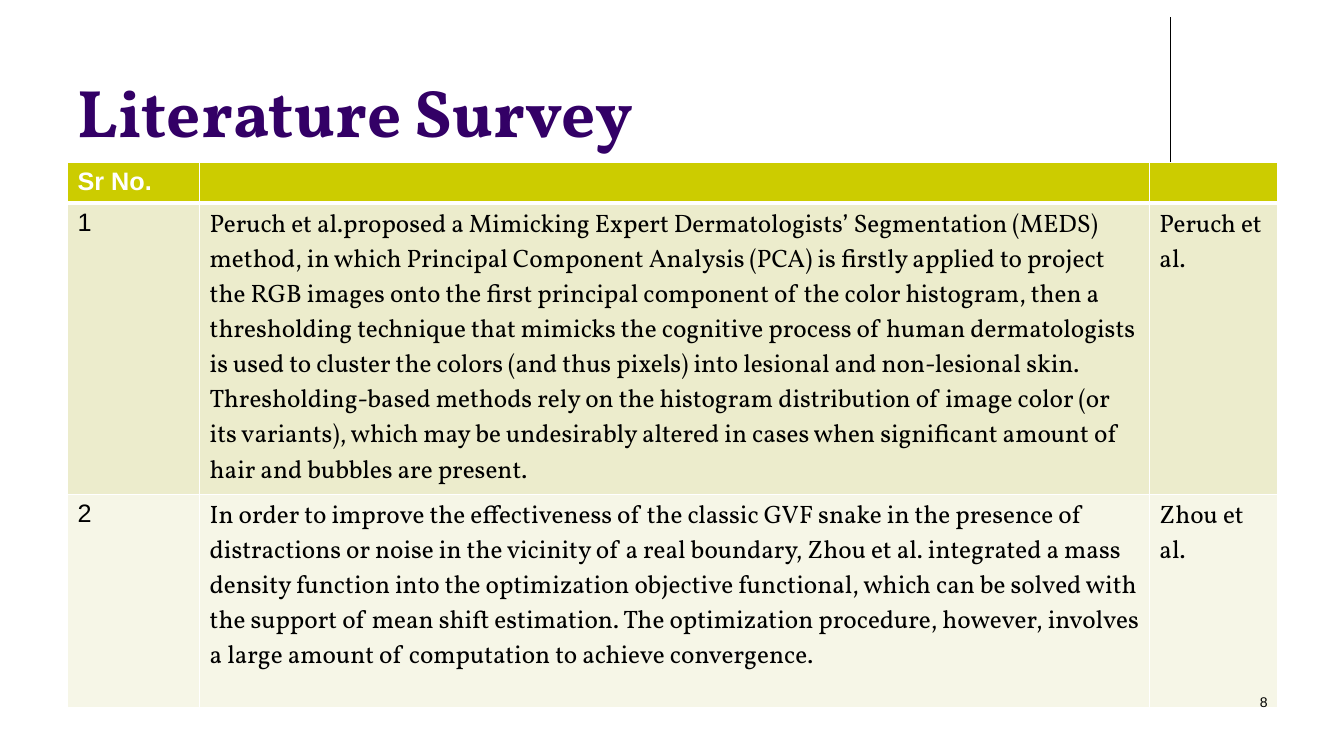
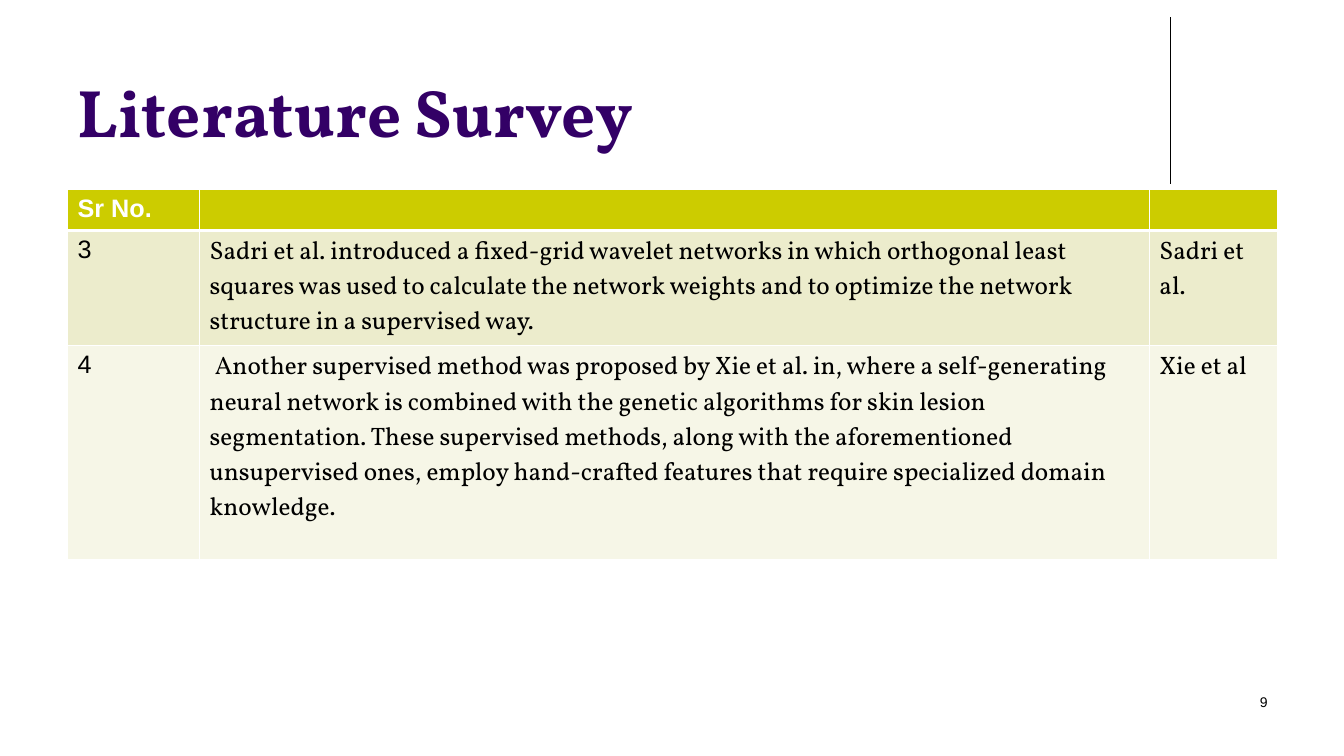
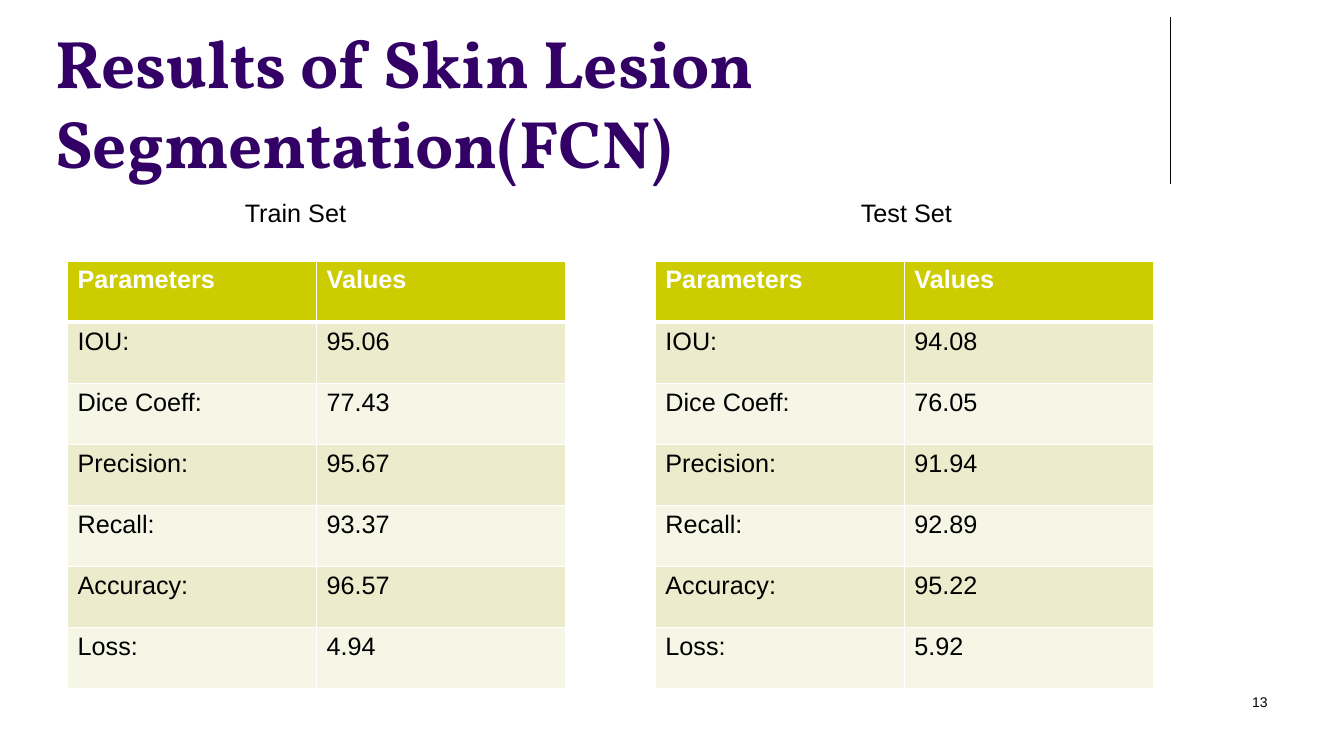
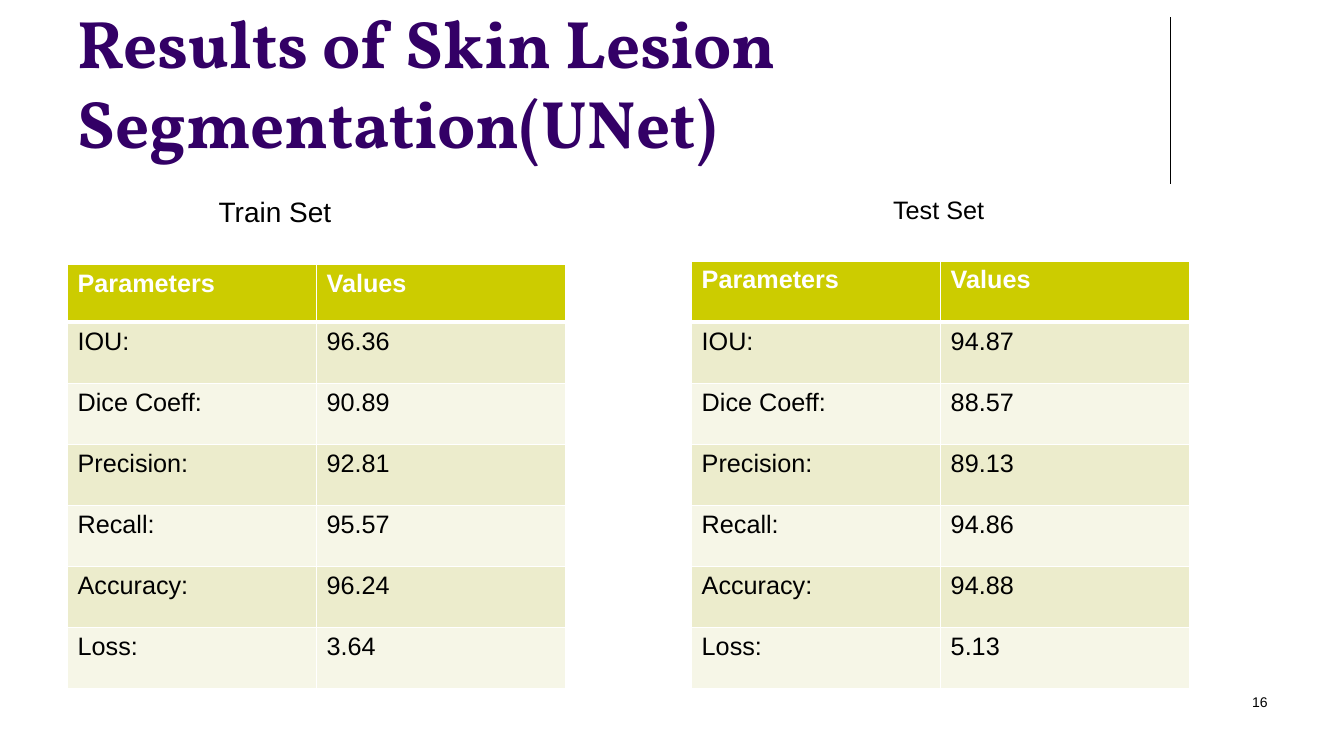
from dataclasses import dataclass
from typing import Any, Sequence

from lxml import etree
from pptx import Presentation
from pptx.dml.color import RGBColor
from pptx.enum import shapes, text
from pptx.oxml import ns
from pptx.util import Inches, Pt

COLORS = {
    "title": "330066",
    "text": "000000",
    "white": "FFFFFF",
    "header": "CCCC00",
    "band_dark": "ECECCC",
    "band_light": "F6F6E7",
}
SANS, SERIF = "Arial", "Vollkorn"
MARGIN = 0.67
SURVEY_COLS = (1.31, 9.42, 1.27)
SURVEY_FONTS = (SANS, SERIF, SERIF)
RESULT_COLS = (2.47, 2.47)
RESULT_FONTS = (SANS, SANS)
RESULT_BOTTOM = 6.83
RESULT_ROW = 4.24 / 7
METRICS = ("IOU:", "Dice Coeff:", "Precision:", "Recall:", "Accuracy:", "Loss:")


@dataclass
class Box:
    left: float
    top: float
    width: float
    height: float

    def emu(self) -> tuple[int, ...]:
        return tuple(Inches(v) for v in (self.left, self.top, self.width, self.height))


@dataclass
class Survey:
    number: int
    top: float
    heights: Sequence[float]
    rows: Sequence[Sequence[str]]


@dataclass
class ResultSet:
    label: str
    label_left: float
    label_top: float
    left: float
    values: Sequence[str]
    top: float = 2.59
    label_size: int = 18


@dataclass
class Results:
    number: int
    title: str
    title_box: Box
    sets: Sequence[ResultSet]


SURVEYS = (
    Survey(8, 1.61, (0.38, 2.88, 2.12), (
        ("1",
         "Peruch et al.proposed a Mimicking Expert Dermatologists’ Segmentation (MEDS) method, "
         "in which Principal Component Analysis (PCA) is firstly applied to project the RGB "
         "images onto the first principal component of the color histogram, then a thresholding "
         "technique that mimicks the cognitive process of human dermatologists is used to "
         "cluster the colors (and thus pixels) into lesional and non-lesional skin. "
         "Thresholding-based methods rely on the histogram distribution of image color (or its "
         "variants), which may be undesirably altered in cases when significant amount of hair "
         "and bubbles are present.",
         "Peruch et al."),
        ("2",
         "In order to improve the effectiveness of the classic GVF snake in the presence of "
         "distractions or noise in the vicinity of a real boundary, Zhou et al. integrated a "
         "mass density function into the optimization objective functional, which can be solved "
         "with the support of mean shift estimation. The optimization procedure, however, "
         "involves a large amount of computation to achieve convergence.",
         "Zhou et al."),
    )),
    Survey(9, 1.88, (0.38, 1.14, 2.12), (
        ("3",
         "Sadri et al. introduced a fixed-grid wavelet networks in which orthogonal least "
         "squares was used to calculate the network weights and to optimize the network "
         "structure in a supervised way.",
         "Sadri et al."),
        ("4",
         " Another supervised method was proposed by Xie et al. in, where a self-generating "
         "neural network is combined with the genetic algorithms for skin lesion segmentation. "
         "These supervised methods, along with the aforementioned unsupervised ones, employ "
         "hand-crafted features that require specialized domain knowledge.",
         "Xie et al"),
    )),
)

RESULTS = (
    Results(13, "Results of Skin Lesion Segmentation(FCN)", Box(0.45, 0.44, 11.42, 1.42), (
        ResultSet("Train Set", 2.33, 1.91, MARGIN,
                  ("95.06", "77.43", "95.67", "93.37", "96.57", "4.94")),
        ResultSet("Test Set", 8.44, 1.91, 6.5,
                  ("94.08", "76.05", "91.94", "92.89", "95.22", "5.92")),
    )),
    Results(16, "Results of Skin Lesion Segmentation(UNet)", Box(MARGIN, 0.17, 11, 1.49), (
        ResultSet("Train Set", 2.07, 1.88, MARGIN,
                  ("96.36", "90.89", "92.81", "95.57", "96.24", "3.64"),
                  top=2.62, label_size=20),
        ResultSet("Test Set", 8.76, 1.88, 6.86,
                  ("94.87", "88.57", "89.13", "94.86", "94.88", "5.13")),
    )),
)


def rgb(name: str) -> RGBColor:
    return RGBColor.from_string(COLORS[name])


def write(tf: Any, content: str, size: int, font: str = SANS, color: str = "text",
          bold: bool = False, align: Any = text.PP_ALIGN.LEFT) -> None:
    p = tf.paragraphs[0]
    p.alignment = align
    r = p.add_run()
    r.text = content
    for name, value in {"size": Pt(size), "name": font, "bold": bold}.items():
        setattr(r.font, name, value)
    r.font.color.rgb = rgb(color)


def add_text(s: Any, box: Box, content: str, size: int,
             align: Any = text.PP_ALIGN.LEFT) -> None:
    tf = s.shapes.add_textbox(*box.emu()).text_frame
    tf.word_wrap = True
    write(tf, content, size, align=align)


def add_slide(prs: Any, title: str, box: Box) -> Any:
    """Add a slide with the shared title and corner rule."""
    s = prs.slides.add_slide(prs.slide_layouts[5])
    sp = s.shapes.title
    sp.left, sp.top, sp.width, sp.height = box.emu()
    frame_format = {"vertical_anchor": text.MSO_ANCHOR.BOTTOM, "word_wrap": True,
                    "auto_size": text.MSO_AUTO_SIZE.NONE}
    for name, value in frame_format.items():
        setattr(sp.text_frame, name, value)
    write(sp.text_frame, title, 48, SERIF, "title", True)

    rule = s.shapes.add_connector(shapes.MSO_CONNECTOR.STRAIGHT, Inches(11.61), Inches(0.17),
                                  Inches(11.61), Inches(1.83))
    rule.line.color.rgb = rgb("text")
    rule.line.width = Pt(0.75)
    etree.SubElement(rule._element.spPr, ns.qn("a:effectLst"))
    return s


def add_page_number(s: Any, number: int) -> None:
    """Add the page number; call last, so that it lies in front of the tables."""
    add_text(s, Box(9.56, 6.83, 3.11, 0.5), str(number), 10, text.PP_ALIGN.RIGHT)


def set_borders(cell: Any, top: float, bottom: float) -> None:
    """Draw white borders, which must come before the fill in the cell's XML."""
    tc_pr = cell._tc.get_or_add_tcPr()
    widths = {"a:lnL": 1, "a:lnR": 1, "a:lnT": top, "a:lnB": bottom}
    for i, (tag, width) in enumerate(widths.items()):
        ln = etree.Element(ns.qn(tag), w=str(Pt(width)))
        fill = etree.SubElement(ln, ns.qn("a:solidFill"))
        etree.SubElement(fill, ns.qn("a:srgbClr"), val=COLORS["white"])
        tc_pr.insert(i, ln)


def add_table(s: Any, left: float, top: float, cols: Sequence[float],
              heights: Sequence[float], rows: Sequence[Sequence[str]],
              fonts: Sequence[str]) -> None:
    box = Box(left, top, sum(cols), sum(heights))
    table = s.shapes.add_table(len(rows), len(cols), *box.emu()).table
    table.horz_banding = False
    for column, width in zip(table.columns, cols):
        column.width = Inches(width)
    for i, (row, height, values) in enumerate(zip(table.rows, heights, rows)):
        row.height = Inches(height)
        header = i == 0
        fill = "header" if header else "band_dark" if i % 2 else "band_light"
        for cell, value, font in zip(row.cells, values, fonts):
            cell.fill.solid()
            cell.fill.fore_color.rgb = rgb(fill)
            set_borders(cell, 3 if i == 1 else 1, 3 if header else 1)
            if value:
                write(cell.text_frame, value, 18, SANS if header else font,
                      "white" if header else "text", header)


def add_survey(prs: Any, survey: Survey) -> None:
    s = add_slide(prs, "Literature Survey", Box(MARGIN, 0.13, 11, 1.42))
    add_table(s, MARGIN, survey.top, SURVEY_COLS, survey.heights,
              (("Sr No.", "", ""), *survey.rows), SURVEY_FONTS)
    add_page_number(s, survey.number)


def add_results(prs: Any, results: Results) -> None:
    s = add_slide(prs, results.title, results.title_box)
    for rs in results.sets:
        header = RESULT_BOTTOM - rs.top - len(METRICS) * RESULT_ROW
        add_table(s, rs.left, rs.top, RESULT_COLS, (header, *[RESULT_ROW] * len(METRICS)),
                  (("Parameters", "Values"), *zip(METRICS, rs.values)), RESULT_FONTS)
        add_text(s, Box(rs.label_left, rs.label_top, 1.5, 0.4), rs.label, rs.label_size)
    add_page_number(s, results.number)


def main() -> None:
    prs = Presentation()
    prs.slide_width, prs.slide_height = Inches(13.33), Inches(7.5)
    for survey in SURVEYS:
        add_survey(prs, survey)
    for results in RESULTS:
        add_results(prs, results)
    prs.save("out.pptx")


if __name__ == "__main__":
    main()
